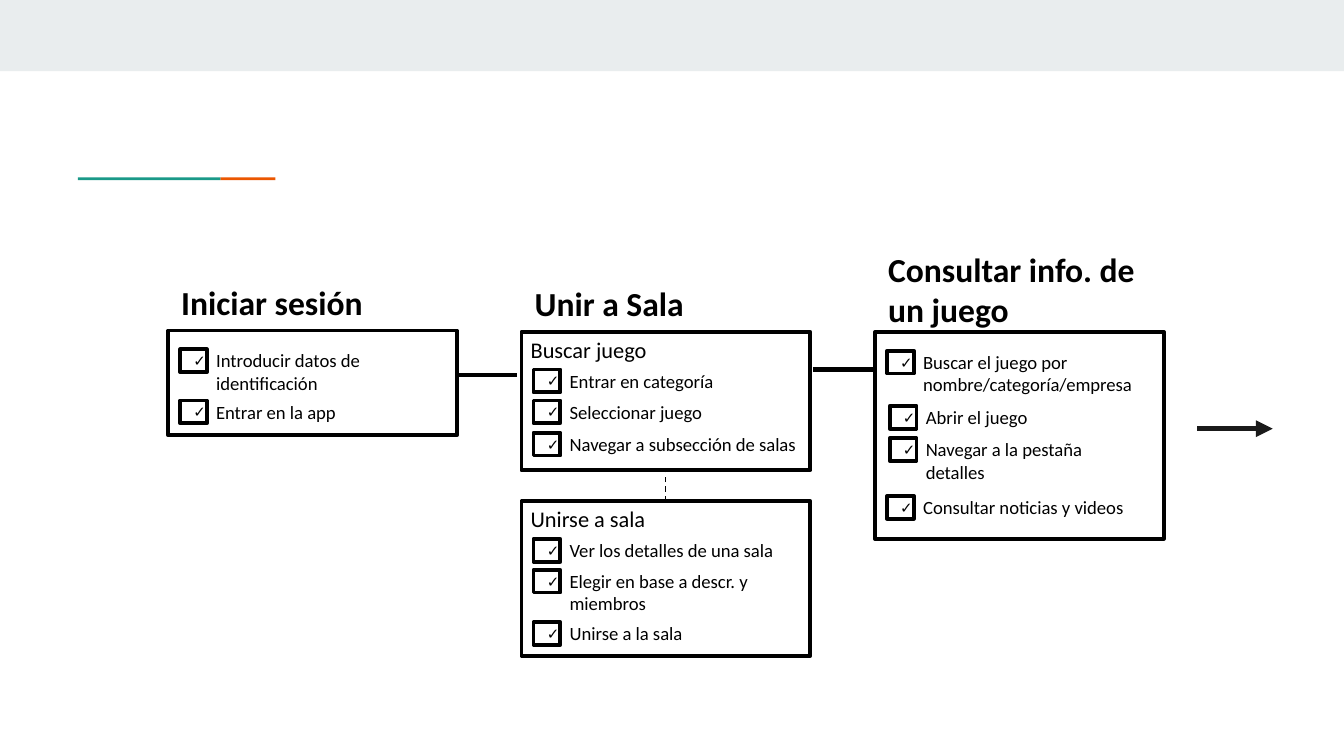
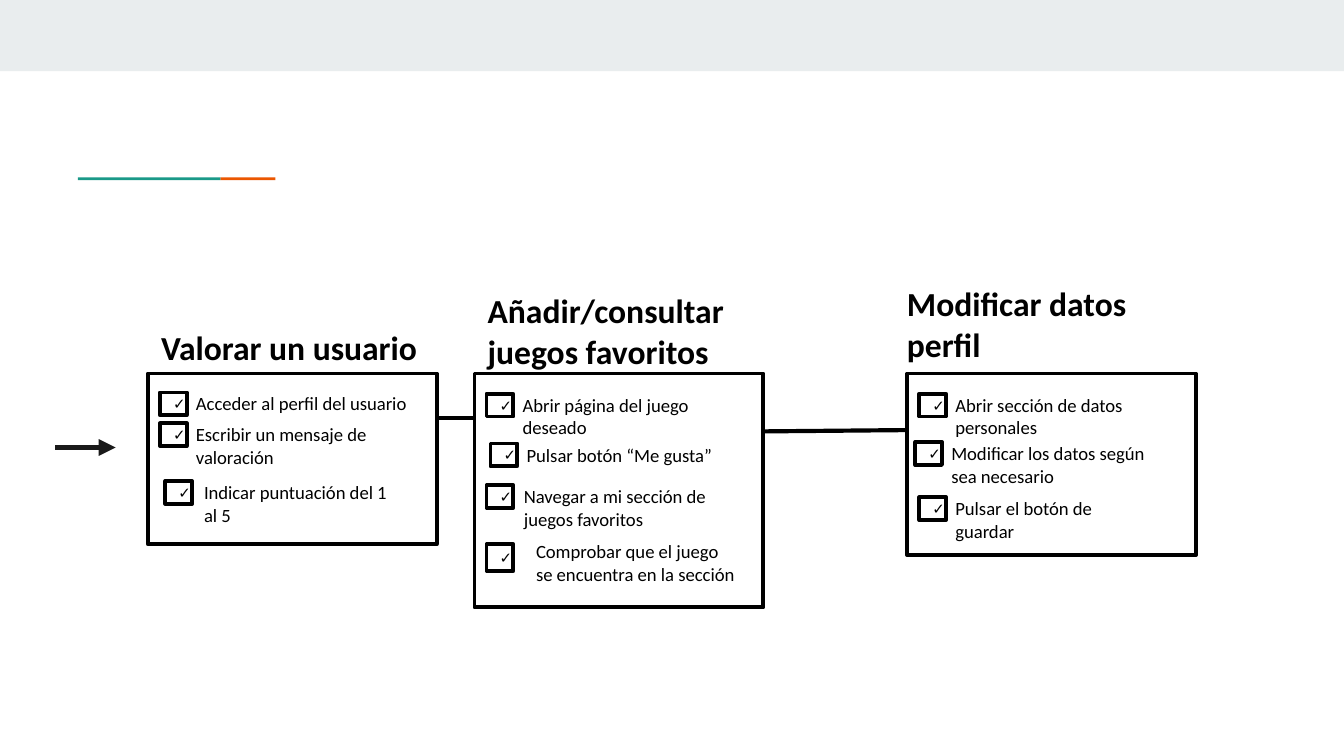
from collections import namedtuple

from lxml.etree import SubElement
from pptx import Presentation
from pptx.dml.color import RGBColor
from pptx.enum.dml import MSO_LINE
from pptx.enum.shapes import MSO_CONNECTOR, MSO_SHAPE
from pptx.enum.text import MSO_ANCHOR, PP_ALIGN
from pptx.oxml.ns import qn
from pptx.util import Inches, Pt

FONT = "Calibri"
BLACK, WHITE, INK = "000000", "FFFFFF", "1A1A1A"
BAND, TEAL, ORANGE = "E9EDEE", "1A9988", "EB5600"
CARD_WIDTH = 2.15
CHECK_WIDTH = 0.2
CHECK_INSET = 0.09

# top: offset from the card top; width: of the label; shift: extra check offset;
# indent: from check to label; tall: check height
Task = namedtuple("Task", "text top width shift indent tall",
                  defaults=(0, 0.17, 0.17))


def colour(value):
    """Turn a hex string into a colour."""
    return RGBColor.from_string(value)


def write(frame, text, size, bold=False):
    """Put one left-aligned paragraph into a text frame."""
    frame.word_wrap = True
    frame.text = text
    para = frame.paragraphs[0]
    para.alignment = PP_ALIGN.LEFT
    for span in para.runs:
        span.font.name = FONT
        span.font.size = Pt(size)
        span.font.bold = bold
        span.font.color.rgb = colour(BLACK)


def add_text(shapes, box, text, size, bold=False):
    """Add a wrapping text box."""
    label = shapes.add_textbox(*map(Inches, box))
    write(label.text_frame, text, size, bold)


def add_rect(shapes, box, fill, outlined=False):
    """Add a flat rectangle, with or without the black outline."""
    rect = shapes.add_shape(MSO_SHAPE.RECTANGLE, *map(Inches, box))
    rect.shadow.inherit = False
    rect.fill.solid()
    rect.fill.fore_color.rgb = colour(fill)
    if outlined:
        rect.line.color.rgb = colour(BLACK)
        rect.line.width = Pt(2)
    else:
        rect.line.fill.background()
    return rect


def add_link(page, start, end, width=2.25, tint=BLACK, dashed=False, arrow=False):
    """Add a straight line between two points."""
    link = page.shapes.add_connector(
        MSO_CONNECTOR.STRAIGHT, *map(Inches, start + end))
    link.line.color.rgb = colour(tint)
    link.line.width = Pt(width)
    if dashed:
        link.line.dash_style = MSO_LINE.DASH
    if arrow:
        outline = link._element.spPr.find(qn("a:ln"))
        SubElement(outline, qn("a:tailEnd"), type="triangle")
    SubElement(link._element.spPr, qn("a:effectLst"))


def add_task(page, left, top, task):
    """Add a ticked box and its label as one group."""
    shapes = page.shapes.add_group_shape().shapes
    height = task.tall + 0.1 if task.tall < CHECK_WIDTH else 0.36
    label_top = top - (height - task.tall) / 2
    add_text(shapes, (left + task.indent, label_top, task.width, height),
             task.text, 10)
    check = add_rect(shapes, (left, top, CHECK_WIDTH, task.tall), WHITE, True)
    check.text_frame.vertical_anchor = MSO_ANCHOR.MIDDLE
    write(check.text_frame, "✓", 8)


def add_card(page, left, top, height, tasks, subtitle=None):
    """Add an outlined card with an optional subtitle and its tasks."""
    add_rect(page.shapes, (left, top, CARD_WIDTH, height), WHITE, True)
    for task in tasks:
        add_task(page, left + CHECK_INSET + task.shift, top + task.top, task)
    if subtitle:
        add_text(page.shapes, (left - 0.03, top - 0.02, 1.9, 0.3), subtitle, 12)


def add_heading(page, left, top, width, text):
    """Add the bold heading that stands over a card."""
    add_text(page.shapes, (left, top, width, 0.4), text, 18, True)


def add_page(deck):
    """Add a blank page with the top band and the two-colour rule."""
    page = deck.slides.add_slide(deck.slide_layouts[6])
    page.background.fill.solid()
    page.background.fill.fore_color.rgb = colour(WHITE)
    add_rect(page.shapes, (0, 0, 10, 0.53), BAND)
    add_rect(page.shapes, (1.64, 1.32, 0.41, 0.02), ORANGE)
    add_rect(page.shapes, (0.58, 1.32, 1.06, 0.02), TEAL)
    return page


def build_first_half(deck):
    """Sign in, join a room, look up a game."""
    page = add_page(deck)
    add_card(page, 1.25, 2.46, 0.78, [
        Task("Introducir datos de identificación", 0.14, 1.82),
        Task("Entrar en la app", 0.52, 1.4),
    ])
    add_heading(page, 1.25, 2.05, 1.82, "Iniciar sesión")

    add_card(page, 3.88, 2.47, 1.03, [
        Task("Entrar en categoría", 0.28, 1.55),
        Task("Seleccionar juego", 0.51, 1.26),
        Task("Navegar a subsección de salas", 0.75, 1.91),
    ], "Buscar juego")
    add_heading(page, 3.88, 2.06, 1.69, "Unir a Sala")
    add_card(page, 3.88, 3.73, 1.15, [
        Task("Ver los detalles de una sala", 0.28, 1.82),
        Task("Elegir en base a descr. y miembros", 0.51, 1.76),
        Task("Unirse a la sala", 0.9, 1.49),
    ], "Unirse a sala")

    add_card(page, 6.51, 2.47, 1.54, [
        Task("Buscar el juego por nombre/categoría/empresa", 0.14, 1.82),
        Task("Abrir el juego", 0.55, 1.64, 0.02),
        Task("Navegar a la pestaña detalles", 0.79, 1.64, 0.02),
        Task("Consultar noticias y videos", 1.22, 1.72),
    ])
    add_heading(page, 6.51, 1.8, 2.24, "Consultar info. de un juego")

    add_link(page, (3.39, 2.79), (3.85, 2.79))
    add_link(page, (4.95, 3.73), (4.95, 3.5), 0.75, dashed=True)
    add_link(page, (6.05, 2.75), (6.51, 2.75))
    add_link(page, (8.91, 3.19), (9.47, 3.19), 3, INK, arrow=True)


def build_second_half(deck):
    """Rate a user, keep favourites, edit the profile."""
    page = add_page(deck)
    top = 2.78
    add_card(page, 3.53, top, 1.74, [
        Task("Abrir página del juego deseado", 0.15, 1.77),
        Task("Pulsar botón “Me gusta”", 0.52, 1.8, 0.03),
        Task("Navegar a mi sección de juegos favoritos", 0.83, 1.7, 0, 0.18),
        Task("Comprobar que el juego se encuentra en la sección",
             1.27, 1.7, 0, 0.27, 0.2),
    ])
    add_heading(page, 3.53, 2.11, CARD_WIDTH, "Añadir/consultar juegos favoritos")

    add_heading(page, 6.65, 2.06, 2.13, "Modificar datos perfil")
    add_card(page, 6.75, top, 1.35, [
        Task("Abrir sección de datos personales", 0.15, 1.76),
        Task("Modificar los datos según sea necesario", 0.51, 1.79, -0.03),
        Task("Pulsar el botón de guardar", 0.92, 1.65),
    ])

    add_card(page, 1.1, top, 1.27, [
        Task("Acceder al perfil del usuario", 0.14, 1.8),
        Task("Escribir un mensaje de valoración", 0.37, 1.8),
        Task("Indicar puntuación del 1 al 5", 0.8, 1.66, 0.04, 0.19),
    ])
    add_heading(page, 1.1, 2.38, CARD_WIDTH, "Valorar un usuario")

    add_link(page, (3.25, 3.11), (3.53, 3.11))
    add_link(page, (5.68, 3.21), (6.76, 3.2))
    add_link(page, (0.41, 3.33), (0.86, 3.33), 3, INK, arrow=True)


deck = Presentation()
deck.slide_width = Inches(10)
deck.slide_height = deck.slide_width * 9 // 16
build_first_half(deck)
build_second_half(deck)
deck.save("out.pptx")
